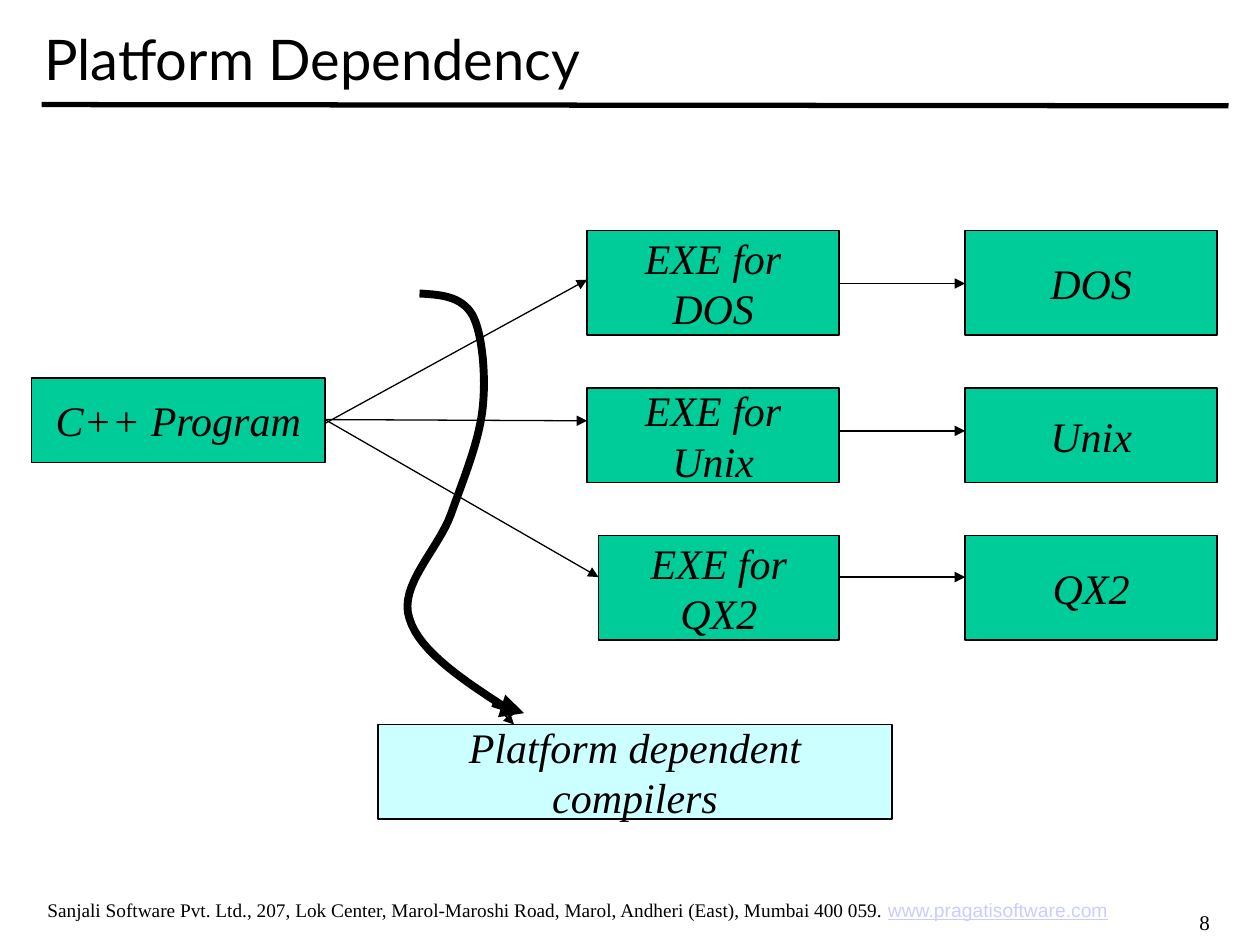
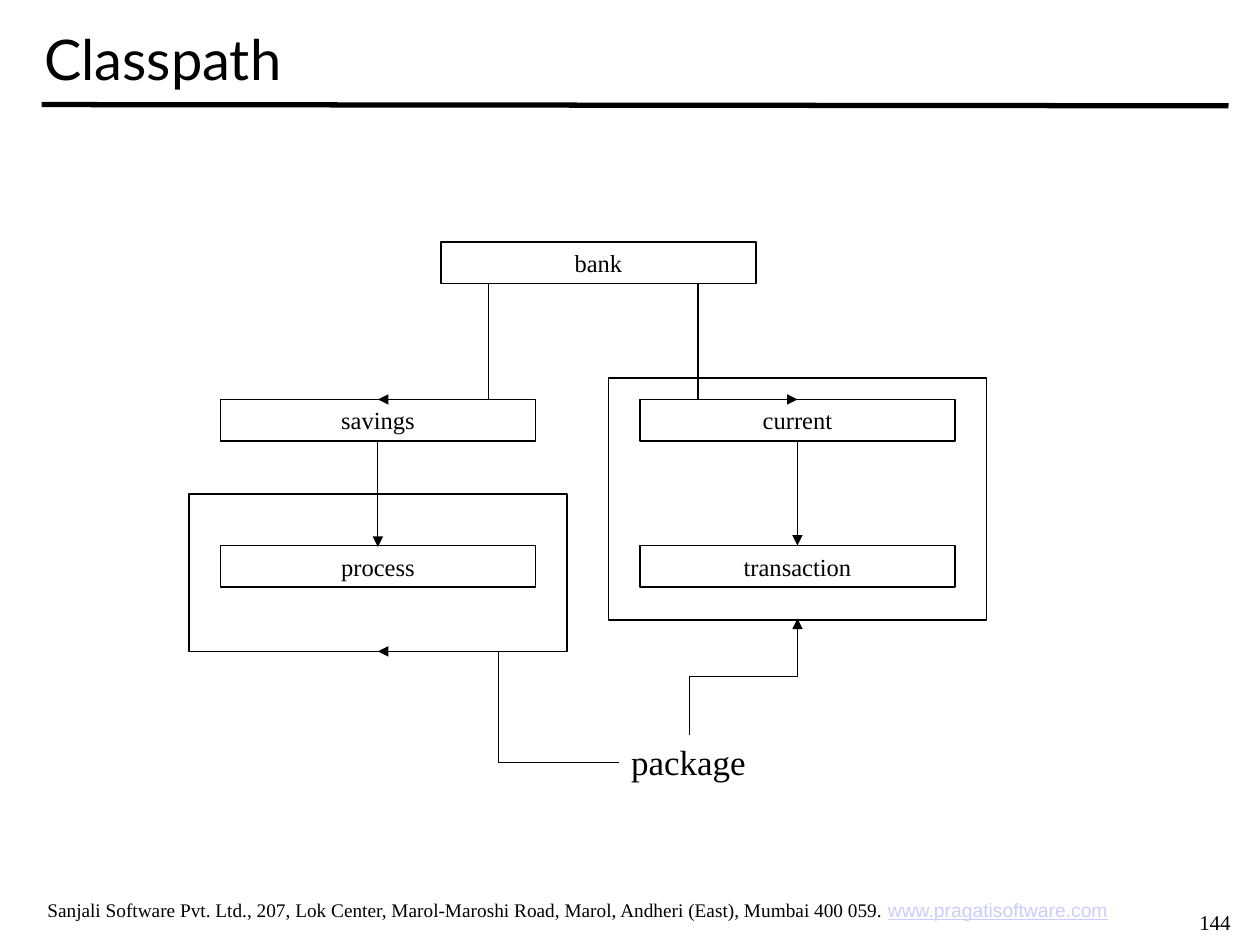
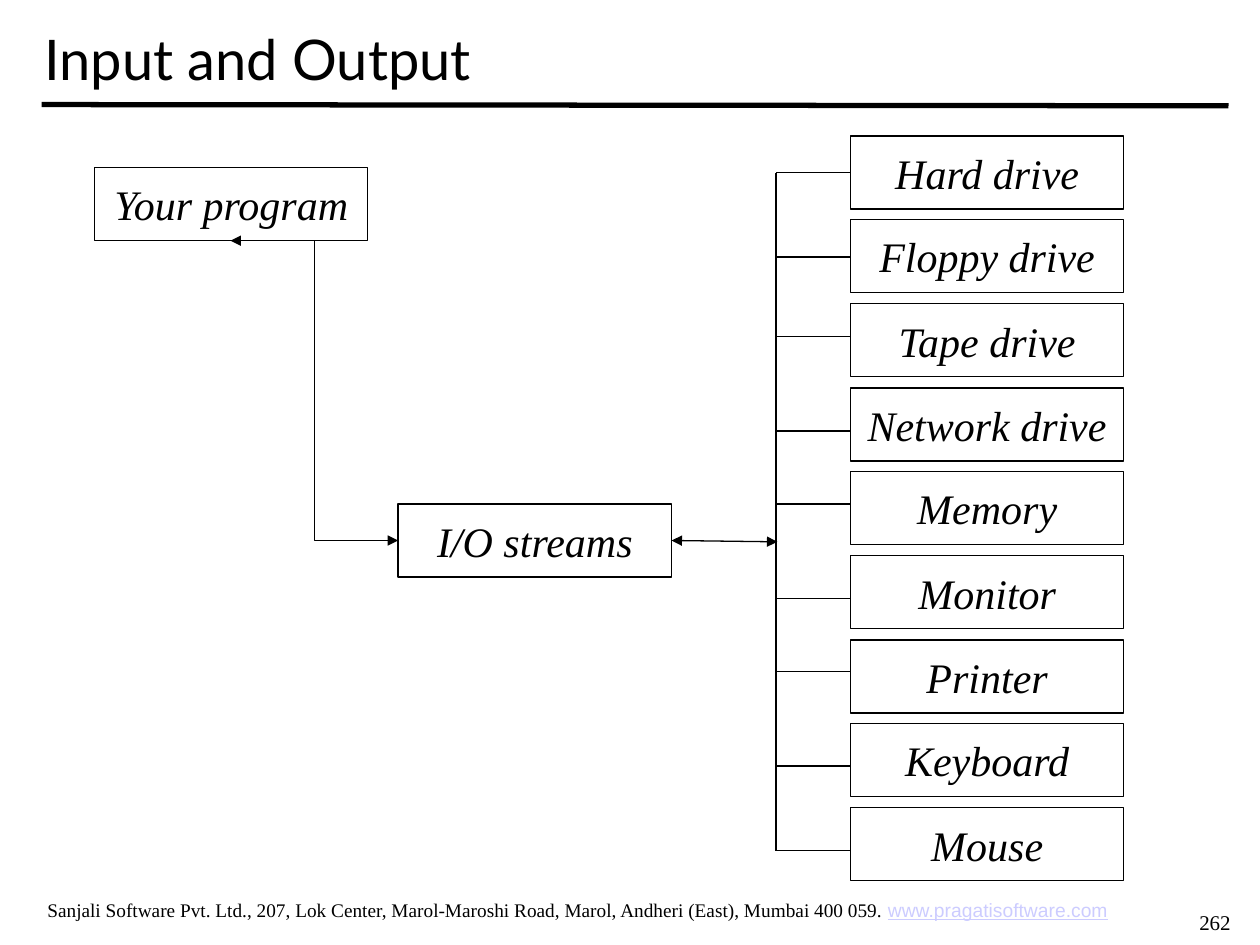
"""Build three teaching slides with box-and-arrow diagrams."""
import dataclasses
import typing

import lxml.etree
import pptx
import pptx.dml.color
import pptx.enum.shapes
import pptx.enum.text
import pptx.oxml.ns
import pptx.slide
import pptx.util

PX = 9144
Align = pptx.enum.text.PP_ALIGN
Link = pptx.enum.shapes.MSO_CONNECTOR
Point = tuple[int, int]


@dataclasses.dataclass(frozen=True)
class Theme:
    ink: str = "000000"
    paper: str = "FFFFFF"
    green: str = "00CC99"
    aqua: str = "CCFFFF"
    web: str = "CCCCFF"
    serif: str = "Times New Roman"
    sans: str = "Arial"
    head: str = "Lato"
    title: int = 32
    large: int = 24
    note: int = 20
    small: int = 14
    page: int = 12
    foot: int = 11
    thin: float = 0.75
    rule: float = 3
    thick: float = 4.5


class Box(typing.NamedTuple):
    left: int
    top: int
    width: int
    height: int
    text: str = ""


class Style(typing.NamedTuple):
    fill: str
    size: int
    slant: bool = False


class Wire(typing.NamedTuple):
    start: Point
    end: Point
    tail: bool = False
    head: bool = False
    width: float = 0.75


THEME = Theme()
GREEN = Style(THEME.green, THEME.large, True)
AQUA = Style(THEME.aqua, THEME.large, True)
WHITE = Style(THEME.paper, THEME.large, True)
PLAIN = Style(THEME.paper, THEME.small)


def emu(*sizes: float) -> list[int]:
    return [round(size * PX) for size in sizes]


def tint(code: str) -> pptx.dml.color.RGBColor:
    return pptx.dml.color.RGBColor.from_string(code)


def set_font(font, name: str, size: int, slant: bool = False) -> None:
    font.name = name
    font.size = pptx.util.Pt(size)
    font.italic = slant
    font.color.rgb = tint(THEME.ink)


def set_line(line, width: float) -> None:
    line.color.rgb = tint(THEME.ink)
    line.width = pptx.util.Pt(width)


def add_box(slide: pptx.slide.Slide, box: Box, style: Style) -> None:
    kind = pptx.enum.shapes.MSO_SHAPE.RECTANGLE
    shape = slide.shapes.add_shape(kind, *emu(*box[:4]))
    shape.shadow.inherit = False
    shape.fill.solid()
    shape.fill.fore_color.rgb = tint(style.fill)
    set_line(shape.line, THEME.thin)
    if box.text:
        frame = shape.text_frame
        frame.word_wrap = True
        frame.vertical_anchor = pptx.enum.text.MSO_ANCHOR.MIDDLE
        para = frame.paragraphs[0]
        para.text = box.text
        para.alignment = Align.CENTER
        set_font(para.font, THEME.serif, style.size, style.slant)


def add_text(slide: pptx.slide.Slide, box: Box, size: int, wrap: bool = True):
    frame = slide.shapes.add_textbox(*emu(*box[:4])).text_frame
    frame.word_wrap = wrap
    para = frame.paragraphs[0]
    para.text = box.text
    set_font(para.font, THEME.serif, size)
    return para


def add_wire(slide: pptx.slide.Slide, wire: Wire, kind=Link.STRAIGHT):
    line = slide.shapes.add_connector(kind, *emu(*wire.start, *wire.end))
    set_line(line.line, wire.width)
    stroke = line.line._get_or_add_ln()
    for name, shown in (("a:headEnd", wire.head), ("a:tailEnd", wire.tail)):
        if shown:
            lxml.etree.SubElement(stroke, pptx.oxml.ns.qn(name), type="triangle")
    lxml.etree.SubElement(line._element.spPr, pptx.oxml.ns.qn("a:effectLst"))
    return line


def add_drop(slide: pptx.slide.Slide, start: Point, end: Point) -> None:
    (x, y), (u, v) = start, end
    mid_x, mid_y = (x + u) / 2, (y + v) / 2
    half_x, half_y = (y - v) / 2, (u - x) / 2
    first = round(mid_x - half_x), round(mid_y - half_y)
    last = round(mid_x + half_x), round(mid_y + half_y)
    add_wire(slide, Wire(first, last, tail=True), Link.ELBOW).rotation = 270


def add_curve(slide: pptx.slide.Slide, knots: list[Point], steps: int = 16) -> None:
    spots = []
    for base in range(0, len(knots) - 1, 3):
        for step in range(1, steps + 1):
            t = step / steps
            s = 1 - t
            parts = s**3, 3 * s * s * t, 3 * s * t * t, t**3
            hull = knots[base:base + 4]
            spots.append(emu(*(sum(w * p[axis] for w, p in zip(parts, hull))
                               for axis in (0, 1))))
    path = slide.shapes.build_freeform(*emu(*knots[0]))
    path.add_line_segments(spots, close=False)
    shape = path.convert_to_shape()
    shape.shadow.inherit = False
    shape.fill.background()
    set_line(shape.line, THEME.thick)


def add_slide(deck, title: str, page: int) -> pptx.slide.Slide:
    slide = deck.slides.add_slide(deck.slide_layouts[5])
    head = slide.shapes.title
    head.left, head.top, head.width, head.height = emu(25, 0, 950, 92)
    frame = head.text_frame
    frame.word_wrap = True
    frame.auto_size = pptx.enum.text.MSO_AUTO_SIZE.NONE
    frame.vertical_anchor = pptx.enum.text.MSO_ANCHOR.MIDDLE
    para = frame.paragraphs[0]
    para.text = title
    para.alignment = Align.LEFT
    set_font(para.font, THEME.head, THEME.title)
    add_wire(slide, Wire((33, 83), (975, 84), width=THEME.rule))
    foot = add_text(slide, Box(
        0, 708, 917, 29,
        "Sanjali Software Pvt. Ltd., 207, Lok Center, Marol-Maroshi Road, "
        "Marol, Andheri (East), Mumbai 400 059. "), THEME.foot)
    foot.alignment = Align.CENTER
    web = foot.add_run()
    web.text = "www.pragatisoftware.com"
    web.font.name = THEME.sans
    web.font.underline = True
    web.font.color.rgb = tint(THEME.web)
    add_text(slide, Box(942, 717, 54, 30, str(page)), THEME.page)
    return slide


def draw_platform(deck) -> None:
    slide = add_slide(deck, "Platform Dependency", 8)
    add_box(slide, Box(25, 300, 233, 67, "C++ Program"), GREEN)
    rows = (
        ("DOS", 466, 183, 83, 336, 222, 225),
        ("Unix", 466, 308, 75, 333, 334, 342),
        ("QX2", 475, 425, 83, 333, 458, 458),
    )
    for name, left, top, height, out, into, level in rows:
        add_box(slide, Box(left, top, 666 - left, height, f"EXE for {name}"), GREEN)
        add_box(slide, Box(766, top, 200, height, name), GREEN)
        add_wire(slide, Wire((258, out), (left, into), tail=True))
        add_wire(slide, Wire((666, level), (766, level), tail=True))
    add_curve(slide, [
        (333, 233), (350, 234), (366, 235), (375, 250),
        (383, 265), (386, 299), (383, 325),
        (380, 351), (368, 380), (358, 408),
        (348, 436), (316, 465), (325, 491),
        (333, 518), (371, 542), (408, 566),
    ])
    add_box(slide, Box(300, 575, 408, 75, "Platform dependent compilers"), AQUA)
    add_wire(slide, Wire((400, 567), (408, 575), tail=True))
    add_wire(slide, Wire((391, 558), (416, 566), tail=True, width=THEME.thick))


def draw_classes(deck) -> None:
    slide = add_slide(deck, "Classpath", 144)
    for group in (Box(483, 300, 300, 192), Box(150, 392, 300, 125)):
        add_box(slide, group, PLAIN)
    add_box(slide, Box(350, 192, 250, 33, "bank"), PLAIN)
    trees = ((175, 300, "savings", "process"), (508, 633, "current", "transaction"))
    for left, mid, upper, lower in trees:
        add_box(slide, Box(left, 317, 250, 33, upper), PLAIN)
        add_box(slide, Box(left, 433, 250, 33, lower), PLAIN)
        add_wire(slide, Wire((475, 225), (mid, 317), tail=True), Link.ELBOW)
        add_drop(slide, (mid, 350), (mid, 433))
    add_text(slide, Box(491, 583, 111, 44, "package"), THEME.note, wrap=False)
    add_wire(slide, Wire((491, 605), (300, 517), tail=True), Link.ELBOW)
    add_drop(slide, (547, 583), (633, 492))


def draw_streams(deck) -> None:
    slide = add_slide(deck, "Input and Output", 262)
    names = ("Hard drive", "Floppy drive", "Tape drive", "Network drive", "Memory",
             "Monitor", "Printer", "Keyboard", "Mouse")
    levels = (137, 204, 267, 342, 400, 475, 533, 608, 675)
    for row, (name, level) in enumerate(zip(names, levels)):
        add_box(slide, Box(675, 108 + row * 200 // 3, 217, 58, name), WHITE)
        add_wire(slide, Wire((675, level), (616, level)))
    add_wire(slide, Wire((616, levels[0]), (616, levels[-1])))
    add_box(slide, Box(75, 133, 217, 58, "Your program"), WHITE)
    add_box(slide, Box(316, 400, 217, 58, "I/O streams"), WHITE)
    add_wire(slide, Wire((183, 191), (316, 429), tail=True, head=True), Link.ELBOW)
    add_wire(slide, Wire((533, 429), (617, 430), tail=True, head=True))


def main() -> None:
    deck = pptx.Presentation()
    deck.slide_width, deck.slide_height = emu(1000, 750)
    for draw in (draw_platform, draw_classes, draw_streams):
        draw(deck)
    deck.save("out.pptx")


if __name__ == "__main__":
    main()
